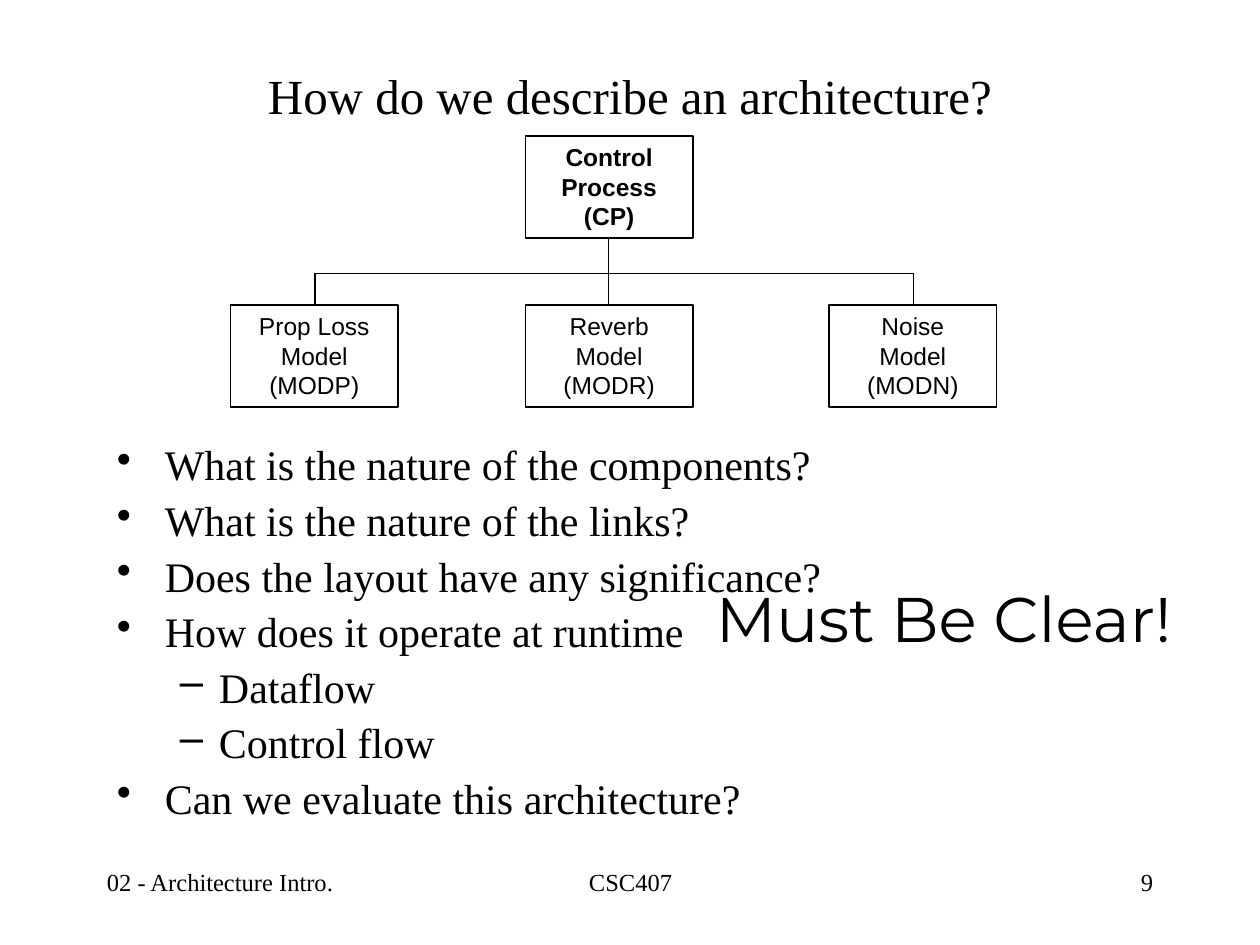
from pptx import Presentation
from pptx import util as u
from pptx.dml.color import RGBColor
from pptx.enum import shapes, text
from pptx.oxml.ns import qn
from lxml import etree

SERIF, SANS, DISPLAY = "Times New Roman", "Arial", "Montserrat"
BLACK = "000000"
LEFT, CENTER, RIGHT = text.PP_ALIGN.LEFT, text.PP_ALIGN.CENTER, text.PP_ALIGN.RIGHT
BOX_W, BOX_H = 1.33, 0.81
CHILD_Y, BUS_Y = 2.42, 2.17

BULLETS = [
    (0, "What is the nature of the components?"),
    (0, "What is the nature of the links?"),
    (0, "Does the layout have any significance?"),
    (0, "How does it operate at runtime"),
    (1, "Dataflow"),
    (1, "Control flow"),
    (0, "Can we evaluate this architecture?"),
]
# bullet character, text margin and hanging indent in inches, by level
LEVELS = [("•", 0.38, 0.38), ("–", 0.81, 0.31)]


def color(hex_string):
    return RGBColor.from_string(hex_string)


def write(p, content, size, font, align=LEFT, bold=False):
    p.text = content
    p.alignment = align
    p.font.size = u.Pt(size)
    p.font.name = font
    p.font.bold = bold
    p.font.color.rgb = color(BLACK)


def add_text_frame(s, x, y, w, h, wrap=True):
    sp = s.shapes.add_textbox(u.Inches(x), u.Inches(y), u.Inches(w), u.Inches(h))
    sp.text_frame.word_wrap = wrap
    return sp.text_frame


def add_bullets(s, x, y, w, h):
    tf = add_text_frame(s, x, y, w, h)
    for i, (level, content) in enumerate(BULLETS):
        p = tf.paragraphs[0] if i == 0 else tf.add_paragraph()
        write(p, content, 24, SERIF)
        p.level = level
        p.line_spacing = 0.9
        p.space_before = u.Pt(5.8)
        char, margin, hang = LEVELS[level]
        pPr = p._p.get_or_add_pPr()
        pPr.set("marL", str(u.Inches(margin)))
        pPr.set("indent", str(-u.Inches(hang)))
        bullet = etree.Element(qn("a:buChar"), char=char)
        pPr.find(qn("a:defRPr")).addprevious(bullet)


def add_box(s, x, y, content, bold=False):
    sp = s.shapes.add_shape(shapes.MSO_SHAPE.RECTANGLE, u.Inches(x), u.Inches(y),
                            u.Inches(BOX_W), u.Inches(BOX_H))
    sp.shadow.inherit = False
    sp.fill.background()
    sp.line.color.rgb = color(BLACK)
    sp.line.width = u.Pt(0.75)
    tf = sp.text_frame
    tf.word_wrap = True
    tf.vertical_anchor = text.MSO_ANCHOR.TOP
    write(tf.paragraphs[0], content, 14, SANS, CENTER, bold)


def add_line(s, x1, y1, x2, y2):
    c = s.shapes.add_connector(shapes.MSO_CONNECTOR.STRAIGHT, u.Inches(x1), u.Inches(y1),
                               u.Inches(x2), u.Inches(y2))
    c.line.color.rgb = color(BLACK)
    c.line.width = u.Pt(0.75)
    etree.SubElement(c._element.spPr, qn("a:effectLst"))


def add_hierarchy(s):
    add_box(s, 4.17, 1.08, "Control\nProcess\n(CP)", bold=True)
    for x, content in [(1.83, "Prop Loss\nModel\n(MODP)"),
                       (4.17, "Reverb\nModel\n(MODR)"),
                       (6.58, "Noise\nModel\n(MODN)")]:
        add_box(s, x, CHILD_Y, content)
    add_line(s, 4.83, 1.08 + BOX_H, 4.83, CHILD_Y)
    for x in (2.5, 7.25):
        add_line(s, x, CHILD_Y, x, BUS_Y)
    add_line(s, 2.5, BUS_Y, 7.25, BUS_Y)


def add_footer(s):
    for x, w, content, align in [(0.75, 2.08, "02 - Architecture Intro.", LEFT),
                                 (3.42, 3.17, "CSC407", CENTER),
                                 (7.17, 2.08, "9", RIGHT)]:
        tf = add_text_frame(s, x, 6.83, w, 0.5)
        write(tf.paragraphs[0], content, 14, SERIF, align)


def main():
    prs = Presentation()
    prs.slide_width, prs.slide_height = u.Inches(10), u.Inches(7.5)
    s = prs.slides.add_slide(prs.slide_layouts[6])
    add_footer(s)
    title = add_text_frame(s, 0.75, 0.42, 8.5, 0.67)
    title.vertical_anchor = text.MSO_ANCHOR.MIDDLE
    write(title.paragraphs[0], "How do we describe an architecture?", 28, SERIF, CENTER)
    add_bullets(s, 0.83, 3.48, 8.5, 3.25)
    add_hierarchy(s)
    callout = add_text_frame(s, 5.5, 4.55, 3.98, 1.59, wrap=False)
    write(callout.paragraphs[0], "Must Be Clear!", 36, DISPLAY, CENTER)
    prs.save("out.pptx")


if __name__ == "__main__":
    main()
